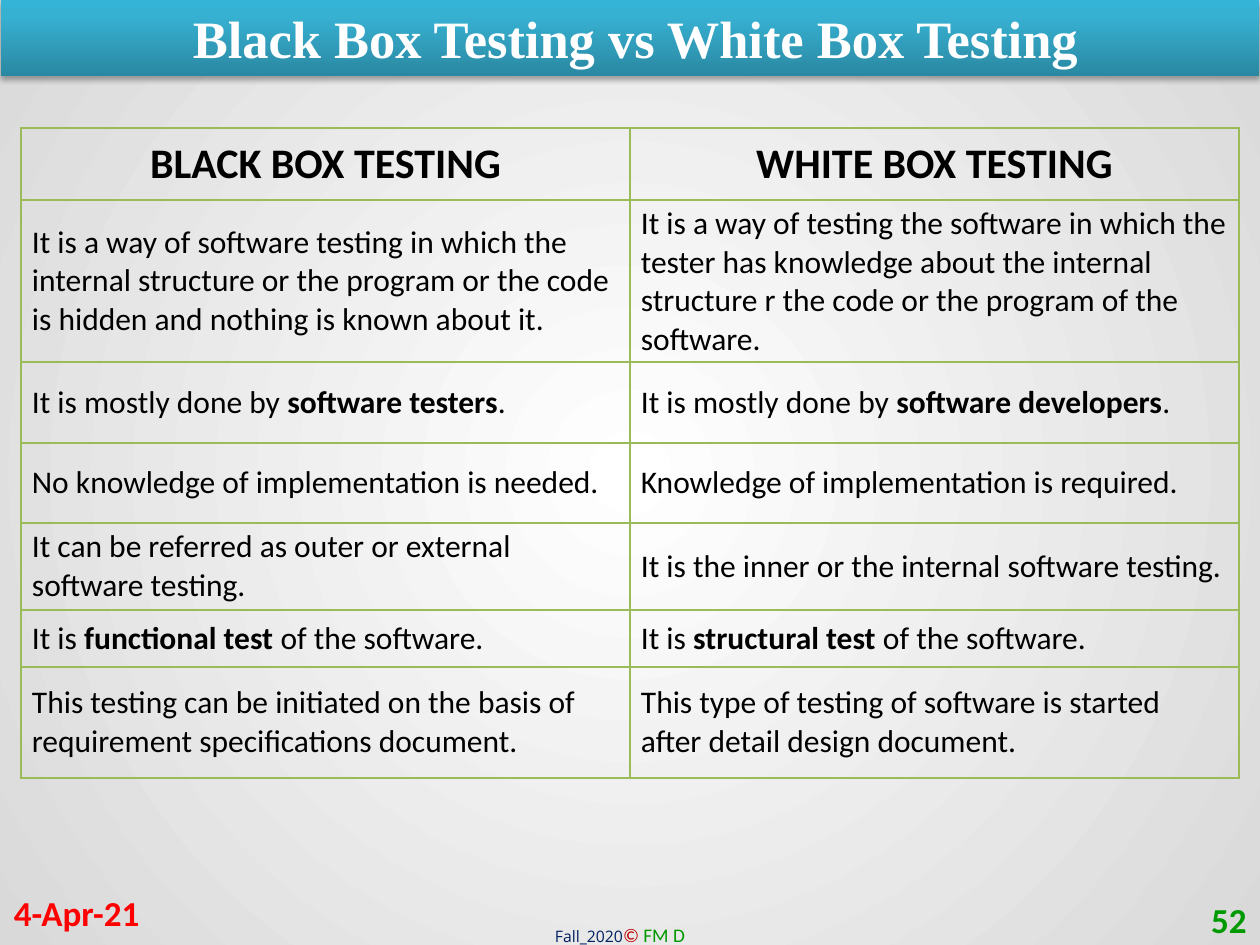
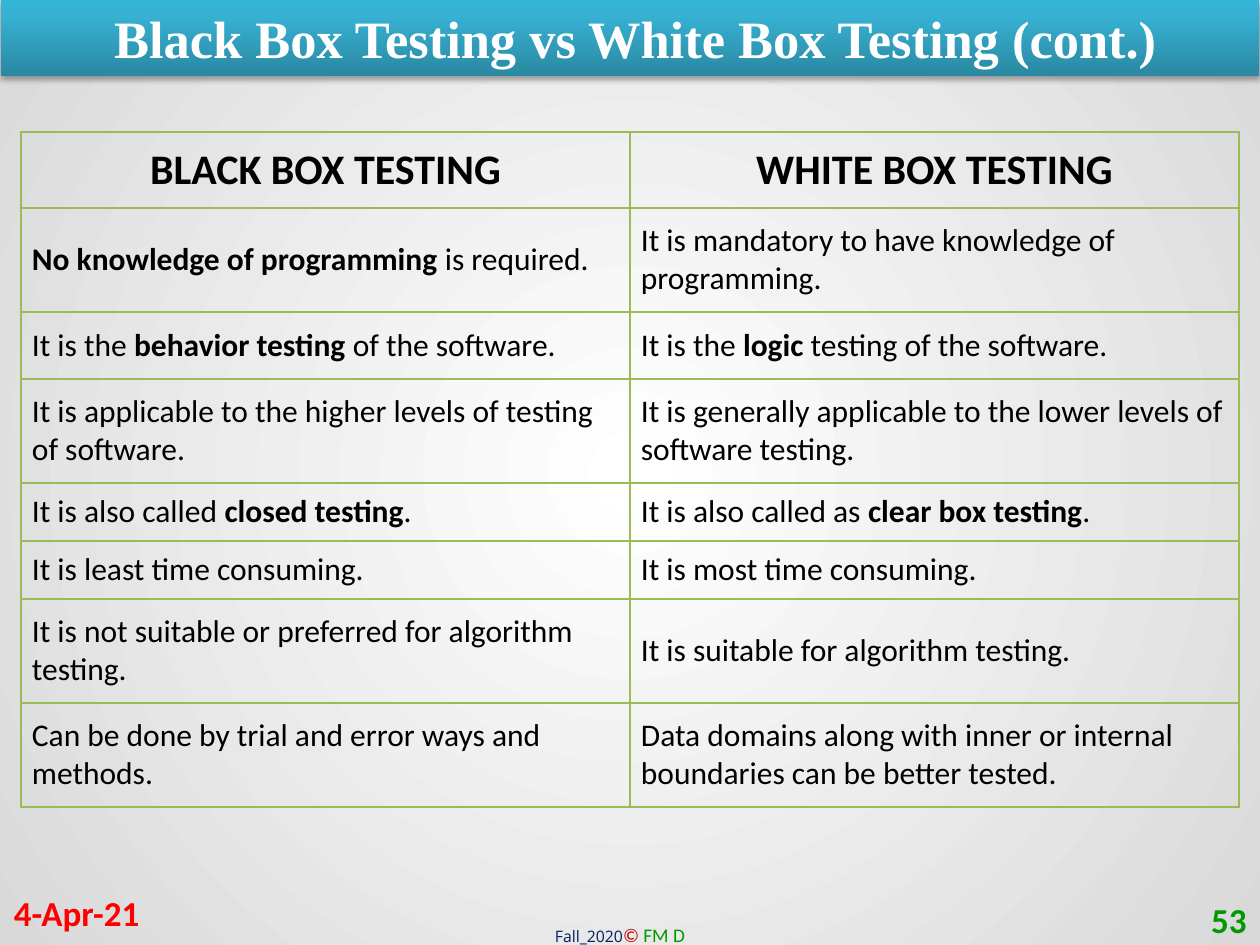
from lxml import etree
from pptx import Presentation
from pptx import util as u
from pptx.dml.color import RGBColor
from pptx.enum import shapes, text
from pptx.oxml.ns import qn

PX = 914400 / 126
rgb = RGBColor.from_string
LEFT, CENTER, RIGHT = text.PP_ALIGN.LEFT, text.PP_ALIGN.CENTER, text.PP_ALIGN.RIGHT
MIDDLE, TOP = text.MSO_ANCHOR.MIDDLE, text.MSO_ANCHOR.TOP

# Shared text formats
TITLE = dict(name="Times New Roman", size=30, bold=True, color="FFFFFF")
DATE = dict(name="Calibri", size=20, bold=True, color="FF0000")
NUMBER = dict(DATE, color="009900")
HEAD = dict(name="Calibri", size=24, bold=True, color="000000")
BODY = dict(HEAD, size=18, bold=False)
BOLD = dict(BODY, bold=True)
TERM = dict(name="Open Sans", size=9, color="002060")
MARK = dict(name="Calibri", size=11, italic=True, color="C00000")
OWNER = dict(MARK, italic=False, color="009900")

BACKDROP = [(0, "FFFFFF"), (100, "D9D9D9")]
BAND = [(0, "2A88A2"), (80, "37B1D2"), (100, "34B4D6")]
GRID = "9BBB59"
HEADINGS = ("BLACK BOX TESTING", "WHITE BOX TESTING")

# Per slide: title, number, table top, row heights, rows (bold between asterisks)
SLIDES = [
    ("Black Box Testing vs White Box Testing", "52", 128,
     [72, 162, 81, 80, 87, 57, 111], [
         ("It is a way of software testing in which the internal structure or the "
          "program or the code is hidden and nothing is known about it.",
          "It is a way of testing the software in which the tester has knowledge about "
          "the internal structure r the code or the program of the software."),
         ("It is mostly done by *software testers*.",
          "It is mostly done by *software developers*."),
         ("No knowledge of implementation is needed.",
          "Knowledge of implementation is required."),
         ("It can be referred as outer or external software testing.",
          "It is the inner or the internal software testing."),
         ("It is *functional test *of the software.",
          "It is *structural test *of the software."),
         ("This testing can be initiated on the basis of requirement specifications document.",
          "This type of testing of software is started after detail design document."),
     ]),
    ("Black Box Testing vs White Box Testing (cont.)", "53", 132,
     [76, 104, 67, 104, 58, 58, 104, 104], [
         ("*No knowledge of programming *is required.",
          "It is mandatory to have knowledge of programming."),
         ("It is the *behavior testing *of the software.",
          "It is the *logic* testing of the software."),
         ("It is applicable to the higher levels of testing of software.",
          "It is generally applicable to the lower levels of software testing."),
         ("It is also called *closed testing*.",
          "It is also called as *clear box testing*."),
         ("It is least time consuming.", "It is most time consuming."),
         ("It is not suitable or preferred for algorithm testing.",
          "It is suitable for algorithm testing."),
         ("Can be done by trial and error ways and methods.",
          "Data domains along with inner or internal boundaries can be better tested."),
     ]),
]


def write(tf, runs, align=LEFT):
    p = tf.paragraphs[0]
    p.alignment = align
    for words, fmt in runs:
        r = p.add_run()
        r.text = words
        for key, value in fmt.items():
            if key == "color":
                r.font.color.rgb = rgb(value)
            else:
                setattr(r.font, key, u.Pt(value) if key == "size" else value)


def set_gradient(parent, stops, direction):
    """Replace the stops and direction of the gradient fill under parent."""
    grad = parent.find(qn("a:gradFill"))
    for child in list(grad):
        grad.remove(child)
    gs_list = etree.SubElement(grad, qn("a:gsLst"))
    for pos, color in stops:
        gs = etree.SubElement(gs_list, qn("a:gs"), pos=str(pos * 1000))
        etree.SubElement(gs, qn("a:srgbClr"), val=color)
    if direction == "circle":
        path = etree.SubElement(grad, qn("a:path"), path="circle")
        etree.SubElement(path, qn("a:fillToRect"), l="50000", t="50000", r="50000", b="50000")
    else:
        etree.SubElement(grad, qn("a:lin"), ang=str(direction * 60000), scaled="0")


prs = Presentation()
prs.slide_width, prs.slide_height = u.Inches(10), u.Inches(7.5)

for title, number, top, heights, rows in SLIDES:
    s = prs.slides.add_slide(prs.slide_layouts[6])

    # Background
    s.background.fill.gradient()
    set_gradient(s.element.find(".//" + qn("p:bgPr")), BACKDROP, "circle")

    # Title band with a soft shadow
    sp = s.shapes.add_shape(shapes.MSO_SHAPE.RECTANGLE,
                            *[round(v * PX) for v in (1, 0, 1258, 76)])
    sp.fill.gradient()
    set_gradient(sp.element.spPr, BAND, 270)
    sp.line.fill.background()
    sp.shadow.inherit = False
    shadow = etree.SubElement(sp.element.spPr.find(qn("a:effectLst")), qn("a:outerShdw"),
                              blurRad="40000", dist="23000", dir="5400000", rotWithShape="0")
    color = etree.SubElement(shadow, qn("a:srgbClr"), val="000000")
    etree.SubElement(color, qn("a:alpha"), val="35000")
    tf = sp.text_frame
    tf.margin_left = round(24 * PX)
    tf.vertical_anchor = MIDDLE
    write(tf, [(title, TITLE)], CENTER)

    # Footer: term and owner, date, slide number
    for box, inset, anchor, align, runs in [
        ((534, 917, 178, 37), 21, TOP, LEFT,
         [("Fall_2020", TERM), ("© ", MARK), ("FM D", OWNER)]),
        ((1, 888, 294, 50), 13, MIDDLE, LEFT, [("4-Apr-21", DATE)]),
        ((965, 895, 294, 50), 13, MIDDLE, RIGHT, [(number, NUMBER)]),
    ]:
        tf = s.shapes.add_textbox(*[round(v * PX) for v in box]).text_frame
        tf.word_wrap = True
        tf.margin_left = round(inset * PX)
        tf.vertical_anchor = anchor
        write(tf, runs, align)

    # Comparison table
    box = (21, top, 1218, sum(heights))
    table = s.shapes.add_table(len(heights), 2, *[round(v * PX) for v in box]).table
    table.first_row = table.horz_banding = False
    for col in table.columns:
        col.width = round(609 * PX)
    for i, (height, words) in enumerate(zip(heights, [HEADINGS] + rows)):
        table.rows[i].height = round(height * PX)
        for j, content in enumerate(words):
            cell = table.cell(i, j)
            cell.fill.background()
            cell.vertical_anchor = MIDDLE
            side, edge = (11, 5) if i else (6, 6)
            cell.margin_left = cell.margin_right = round(side * PX)
            cell.margin_top = cell.margin_bottom = round(edge * PX)
            if i:
                runs = [(part, BOLD if k % 2 else BODY)
                        for k, part in enumerate(content.split("*")) if part]
                write(cell.text_frame, runs)
            else:
                write(cell.text_frame, [(content, HEAD)], CENTER)
            tc_pr = cell._tc.get_or_add_tcPr()
            for k, name in enumerate(("a:lnL", "a:lnR", "a:lnT", "a:lnB")):
                ln = etree.Element(qn(name), w="12700")
                fill = etree.SubElement(ln, qn("a:solidFill"))
                etree.SubElement(fill, qn("a:srgbClr"), val=GRID)
                tc_pr.insert(k, ln)

prs.save("out.pptx")
